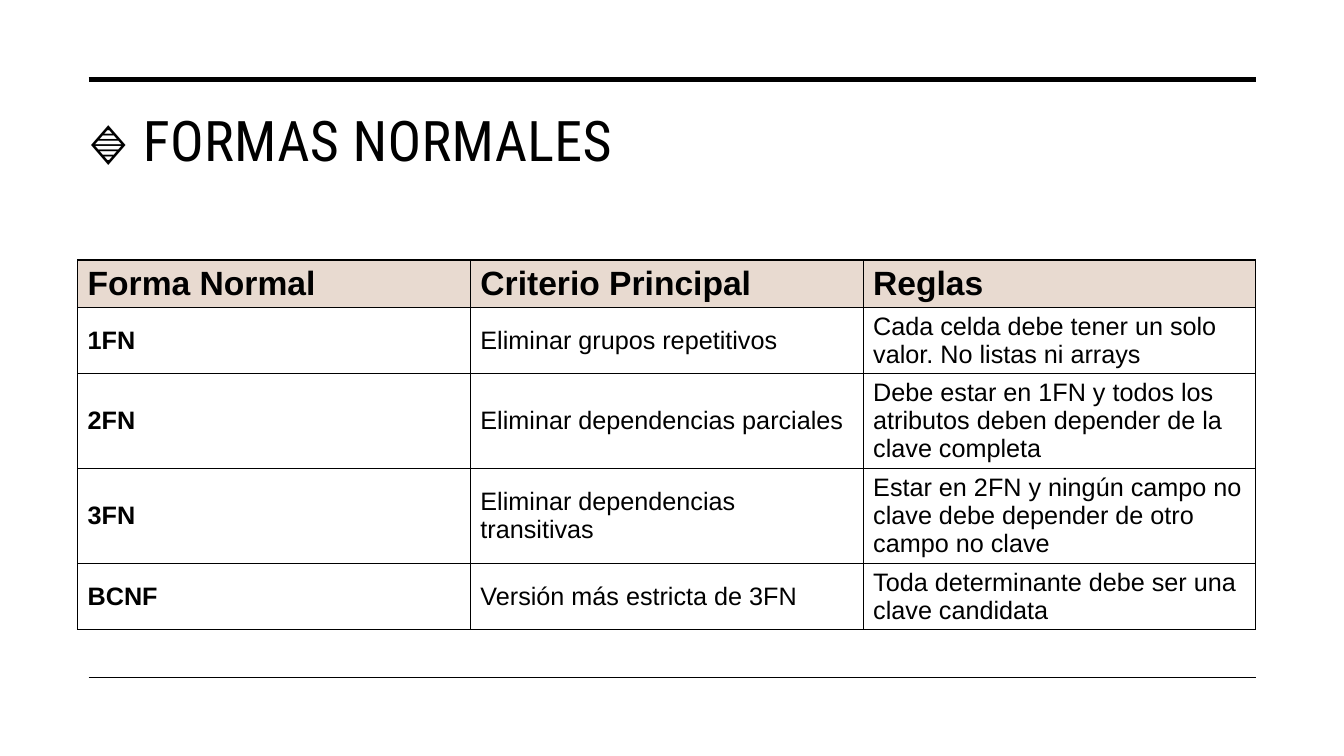
from dataclasses import dataclass

from lxml.etree import SubElement
from pptx import Presentation
from pptx.dml.color import RGBColor
from pptx.enum.shapes import MSO_CONNECTOR
from pptx.enum.text import MSO_ANCHOR, PP_ALIGN
from pptx.oxml.ns import qn
from pptx.util import Pt


@dataclass(frozen=True)
class Theme:
    ink: RGBColor = RGBColor(0x00, 0x00, 0x00)
    header_fill: RGBColor = RGBColor(0xE8, 0xDA, 0xD0)
    title_font: str = "Roboto Condensed"
    table_font: str = "Arial"
    title_size: Pt = Pt(40)
    header_size: Pt = Pt(24)
    body_size: Pt = Pt(18)
    border_width: Pt = Pt(1)


theme = Theme()


def style_font(font, name, size, bold):
    font.name = name
    font.size = size
    font.bold = bold
    font.color.rgb = theme.ink


def add_cell_borders(cell):
    properties = cell._tc.get_or_add_tcPr()
    for side in ("a:lnL", "a:lnR", "a:lnT", "a:lnB"):
        border = SubElement(properties, qn(side), w=str(theme.border_width))
        fill = SubElement(border, qn("a:solidFill"))
        SubElement(fill, qn("a:srgbClr"), val=str(theme.ink))


presentation = Presentation()
presentation.slide_width = Pt(960)
presentation.slide_height = Pt(540)
slide = presentation.slides.add_slide(presentation.slide_layouts[5])

# Rules above and below the content
rule_left, content_left, content_right = Pt(63.36), Pt(55.44), Pt(897.12)
for rule_top, rule_width in ((Pt(56.9), Pt(3.5)), (Pt(483.84), Pt(1))):
    rule = slide.shapes.add_connector(
        MSO_CONNECTOR.STRAIGHT, rule_left, rule_top, content_right, rule_top)
    rule.line.color.rgb = theme.ink
    rule.line.width = rule_width
    SubElement(rule._element.spPr, qn("a:effectLst"))

# Title
content_width = content_right - content_left
title = slide.shapes.title
title.left, title.top = content_left, Pt(72)
title.width, title.height = content_width, Pt(103)
title.text_frame.text = "🔹 FORMAS NORMALES"
title.text_frame.vertical_anchor = MSO_ANCHOR.TOP
title_paragraph = title.text_frame.paragraphs[0]
title_paragraph.alignment = PP_ALIGN.LEFT
style_font(title_paragraph.font, theme.title_font, theme.title_size, False)
title_paragraph.runs[0].font._element.set("spc", "30")

# Table of normal forms
normal_forms = [
    ("Forma Normal", "Criterio Principal", "Reglas"),
    ("1FN", "Eliminar grupos repetitivos",
     "Cada celda debe tener un solo valor. No listas ni arrays"),
    ("2FN", "Eliminar dependencias parciales",
     "Debe estar en 1FN y todos los atributos deben depender de la clave completa"),
    ("3FN", "Eliminar dependencias transitivas",
     "Estar en 2FN y ningún campo no clave debe depender de otro campo no clave"),
    ("BCNF", "Versión más estricta de 3FN",
     "Toda determinante debe ser una clave candidata"),
]
row_heights = [Pt(height) for height in (33.8, 47.2, 67.9, 67.9, 47.2)]

table = slide.shapes.add_table(
    len(normal_forms), len(normal_forms[0]),
    content_left, Pt(185.76), content_width, sum(row_heights)).table
table.first_row = False
table.horz_banding = False

for row_index, row_texts in enumerate(normal_forms):
    is_header = row_index == 0
    table.rows[row_index].height = row_heights[row_index]
    for column_index, text in enumerate(row_texts):
        cell = table.cell(row_index, column_index)
        cell.text = text
        cell.vertical_anchor = MSO_ANCHOR.MIDDLE
        cell.margin_top = cell.margin_bottom = Pt(2.9)
        add_cell_borders(cell)
        if is_header:
            cell.fill.solid()
            cell.fill.fore_color.rgb = theme.header_fill
        else:
            cell.fill.background()
        style_font(cell.text_frame.paragraphs[0].font, theme.table_font,
                   theme.header_size if is_header else theme.body_size,
                   is_header or column_index == 0)

presentation.save("out.pptx")
